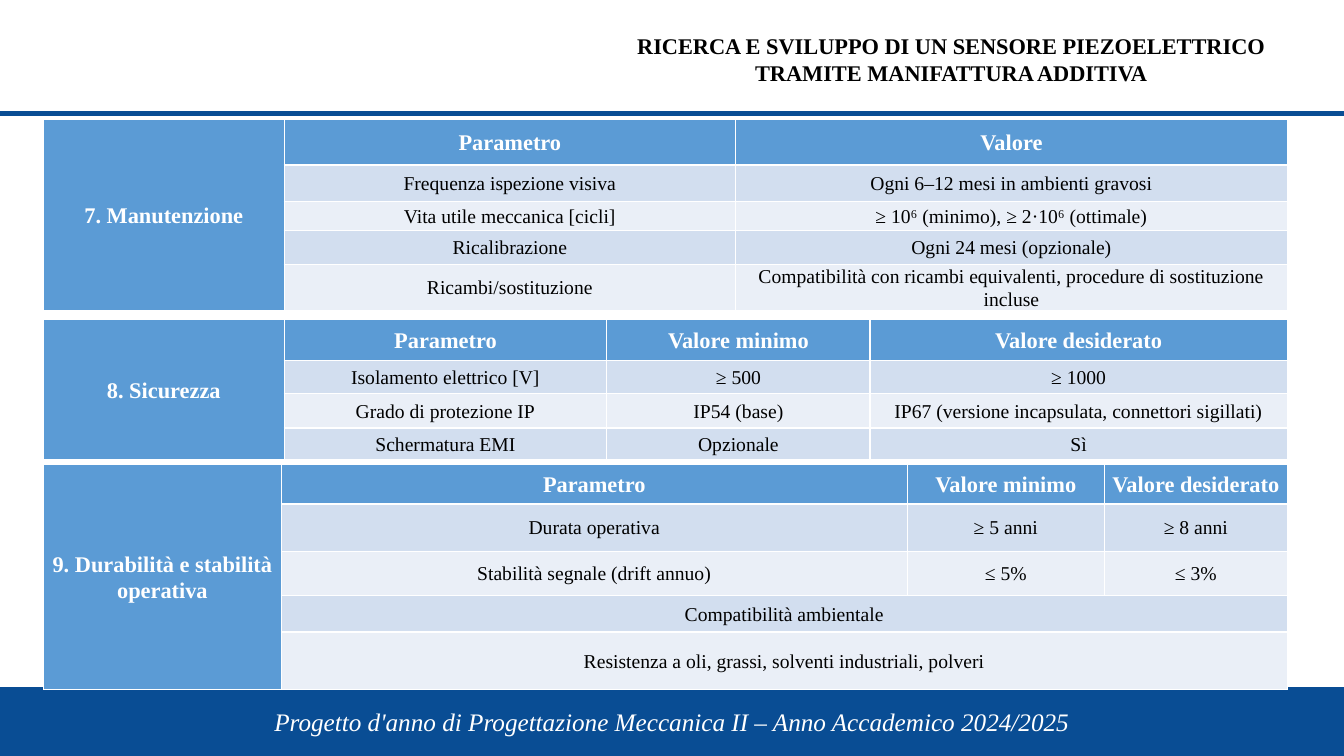
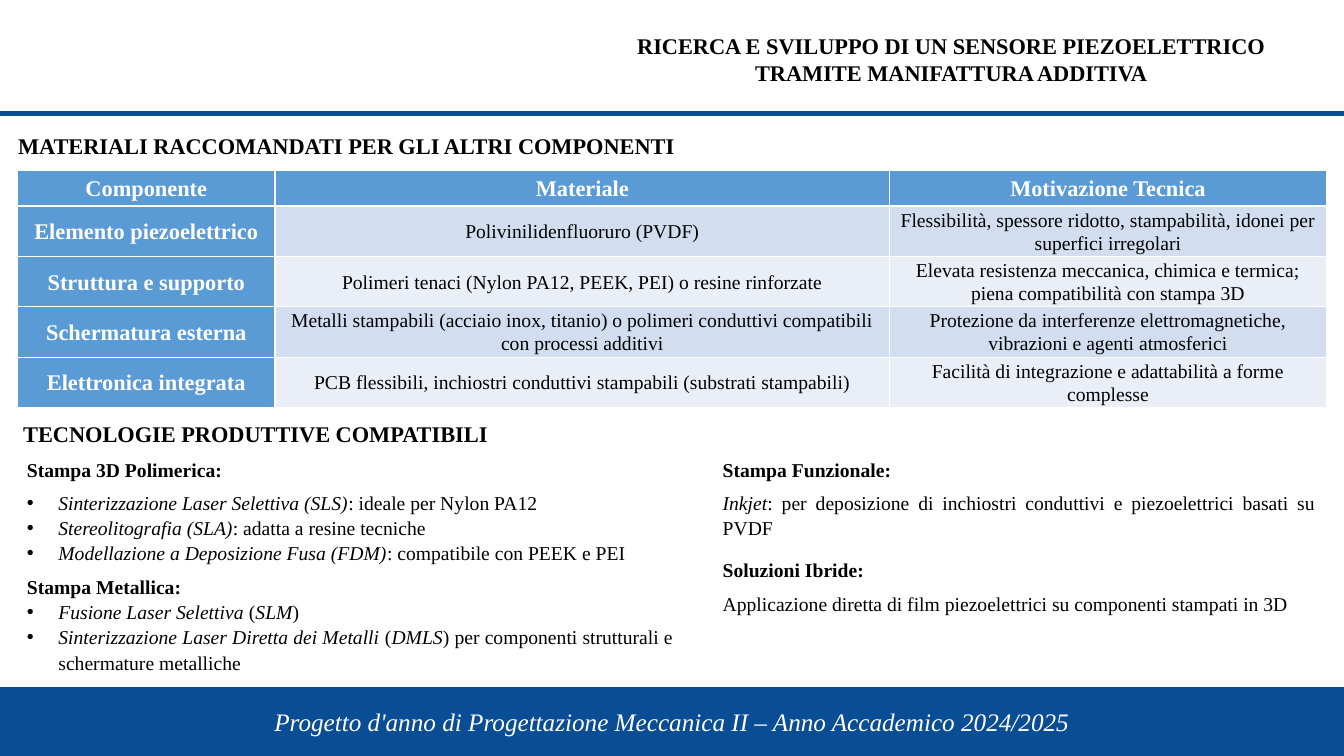
from lxml.etree import SubElement
from pptx import Presentation
from pptx.dml.color import RGBColor
from pptx.enum.shapes import MSO_CONNECTOR, MSO_SHAPE
from pptx.enum.text import MSO_ANCHOR, MSO_AUTO_SIZE, PP_ALIGN
from pptx.oxml.ns import qn
from pptx.util import Pt

FONT = "Times New Roman"
NAVY = RGBColor(0x09, 0x4D, 0x94)
HEAD_BLUE = RGBColor(0x5B, 0x9B, 0xD5)
BANDS = (RGBColor(0xD2, 0xDE, 0xEF), RGBColor(0xEA, 0xEF, 0xF7))
WHITE = RGBColor(0xFF, 0xFF, 0xFF)
BLACK = RGBColor(0, 0, 0)

WIDTH, HEIGHT = 960, 540
RULE_TOP, FOOTER_TOP = 81, 491
LINE_SPACING = 1.07
BULLET_INDENT = 22.5
TITLE_ONLY, TWO_CONTENT = 5, 3

TITLE = "RICERCA E SVILUPPO DI UN SENSORE PIEZOELETTRICO TRAMITE MANIFATTURA ADDITIVA"
FOOTER = "Progetto d'anno di Progettazione Meccanica II – Anno Accademico 2024/2025"

# None marks a cell covered by the one above it (first column) or to its left.
REQUIREMENTS = [
    {
        "top": 85.5,
        "widths": (172, 322.5, 394),
        "heights": (32.4, 26, 21, 23.8, 32.4),
        "rows": [
            ("7. Manutenzione", "Parametro", "Valore"),
            (None, "Frequenza ispezione visiva", "Ogni 6–12 mesi in ambienti gravosi"),
            (None, "Vita utile meccanica [cicli]", "≥ 10⁶ (minimo), ≥ 2·10⁶ (ottimale)"),
            (None, "Ricalibrazione", "Ogni 24 mesi (opzionale)"),
            (None, "Ricambi/sostituzione",
             "Compatibilità con ricambi equivalenti, procedure di sostituzione incluse"),
        ],
    },
    {
        "top": 228.5,
        "widths": (172, 230.5, 188, 298),
        "heights": (29, 23.8, 24.5, 22.3),
        "rows": [
            ("8. Sicurezza", "Parametro", "Valore minimo", "Valore desiderato"),
            (None, "Isolamento elettrico [V]", "≥ 500", "≥ 1000"),
            (None, "Grado di protezione IP", "IP54 (base)",
             "IP67 (versione incapsulata, connettori sigillati)"),
            (None, "Schermatura EMI", "Opzionale", "Sì"),
        ],
    },
    {
        "top": 332,
        "widths": (170, 447, 141, 130.5),
        "heights": (28, 33.8, 31.7, 26, 41),
        "rows": [
            ("9. Durabilità e stabilità operativa", "Parametro", "Valore minimo",
             "Valore desiderato"),
            (None, "Durata operativa", "≥ 5 anni", "≥ 8 anni"),
            (None, "Stabilità segnale (drift annuo)", "≤ 5%", "≤ 3%"),
            (None, "Compatibilità ambientale", None, None),
            (None, "Resistenza a oli, grassi, solventi industriali, polveri", None, None),
        ],
    },
]

MATERIALS_HEADING = "MATERIALI RACCOMANDATI PER GLI ALTRI COMPONENTI"
MATERIALS = {
    "top": 122,
    "widths": (184, 439, 312),
    "heights": (25.2, 35.5, 35.5, 35.5, 35.5),
    "rows": [
        ("Componente", "Materiale", "Motivazione Tecnica"),
        ("Elemento piezoelettrico", "Polivinilidenfluoruro (PVDF)",
         "Flessibilità, spessore ridotto, stampabilità, idonei per superfici irregolari"),
        ("Struttura e supporto", "Polimeri tenaci (Nylon PA12, PEEK, PEI) o resine rinforzate",
         "Elevata resistenza meccanica, chimica e termica; piena compatibilità con stampa 3D"),
        ("Schermatura esterna",
         "Metalli stampabili (acciaio inox, titanio) o polimeri conduttivi compatibili "
         "con processi additivi",
         "Protezione da interferenze elettromagnetiche, vibrazioni e agenti atmosferici"),
        ("Elettronica integrata",
         "PCB flessibili, inchiostri conduttivi stampabili (substrati stampabili)",
         "Facilità di integrazione e adattabilità a forme complesse"),
    ],
}

TECHNOLOGIES_HEADING = "TECNOLOGIE PRODUTTIVE COMPATIBILI"
# Paragraph: bulleted, space before, space after, runs of (text, style).
POLYMER_AND_METAL = [
    (False, 6, 6, [("Stampa 3D Polimerica:", "bold")]),
    (True, 0, 0, [("Sinterizzazione Laser Selettiva (SLS)", "italic"),
                  (": ideale per Nylon PA12", "")]),
    (True, 0, 0, [("Stereolitografia (SLA)", "italic"), (": adatta a resine tecniche", "")]),
    (True, 0, 0, [("Modellazione a Deposizione Fusa (FDM)", "italic"),
                  (": compatibile con PEEK e PEI", "")]),
    (False, 6, 0, [("Stampa Metallica:", "bold")]),
    (True, 0, 0, [("Fusione Laser Selettiva ", "italic"), ("(", ""), ("SLM", "italic"),
                  (")", "")]),
    (True, 0, 6, [("Sinterizzazione Laser Diretta dei Metalli ", "italic"), ("(", ""),
                  ("DMLS", "italic"),
                  (") per componenti strutturali e schermature metalliche", "")]),
]
FUNCTIONAL_AND_HYBRID = [
    (False, 6, 0, [("Stampa Funzionale:", "bold")]),
    (False, 6, 6, [("Inkjet", "italic"),
                   (": per deposizione di inchiostri conduttivi e piezoelettrici basati su PVDF",
                    "")]),
    (False, 6, 0, [("Soluzioni Ibride:", "bold")]),
    (False, 6, 6, [("Applicazione diretta di film piezoelettrici su componenti stampati in 3D",
                    "")]),
]


def add_span(para, text, size, color=BLACK, style=""):
    span = para.add_run()
    span.text = text
    span.font.name = FONT
    span.font.size = Pt(size)
    span.font.color.rgb = color
    span.font.bold = style == "bold"
    span.font.italic = style == "italic"


def place(shape, left, top, width, height):
    shape.left, shape.top, shape.width, shape.height = map(Pt, (left, top, width, height))


def add_page(deck, layout):
    """Add a slide with the shared title, rule and footer band."""
    page = deck.slides.add_slide(deck.slide_layouts[layout])

    title = page.shapes.title
    place(title, 422.5, 19.5, 514, 46)
    frame = title.text_frame
    frame.auto_size = MSO_AUTO_SIZE.NONE
    frame.vertical_anchor = MSO_ANCHOR.TOP
    frame.paragraphs[0].alignment = PP_ALIGN.CENTER
    add_span(frame.paragraphs[0], TITLE, 16, style="bold")

    rule = page.shapes.add_connector(
        MSO_CONNECTOR.STRAIGHT, Pt(0), Pt(RULE_TOP), Pt(WIDTH), Pt(RULE_TOP))
    rule.line.color.rgb = NAVY
    rule.line.width = Pt(4)
    SubElement(rule._element.spPr, qn("a:effectLst"))

    footer = page.shapes.add_shape(
        MSO_SHAPE.RECTANGLE, Pt(0), Pt(FOOTER_TOP), Pt(WIDTH), Pt(HEIGHT - FOOTER_TOP))
    footer.shadow.inherit = False
    footer.fill.solid()
    footer.fill.fore_color.rgb = NAVY
    footer.line.color.rgb = NAVY
    footer.line.width = Pt(1)
    footer.text_frame.vertical_anchor = MSO_ANCHOR.MIDDLE
    para = footer.text_frame.paragraphs[0]
    para.alignment = PP_ALIGN.CENTER
    add_span(para, FOOTER, 18, WHITE, "italic")
    return page


def fill_cell(cell, text, fill, is_heading):
    cell.fill.solid()
    cell.fill.fore_color.rgb = fill
    cell.vertical_anchor = MSO_ANCHOR.MIDDLE
    cell.margin_left = cell.margin_right = Pt(5)
    cell.margin_top = cell.margin_bottom = Pt(0)
    para = cell.text_frame.paragraphs[0]
    para.alignment = PP_ALIGN.CENTER
    para.line_spacing = LINE_SPACING
    if is_heading:
        add_span(para, text, 16, WHITE, "bold")
    else:
        add_span(para, text, 14)


def add_data_table(page, left, data):
    rows, widths, heights = data["rows"], data["widths"], data["heights"]
    table = page.shapes.add_table(
        len(rows), len(widths), Pt(left), Pt(data["top"]),
        Pt(sum(widths)), Pt(sum(heights))).table
    table.horz_banding = False
    for column, width in zip(table.columns, widths):
        column.width = Pt(width)
    for row, height in zip(table.rows, heights):
        row.height = Pt(height)

    last_row, last_column = len(rows) - 1, len(widths) - 1
    if rows[1][0] is None:
        table.cell(0, 0).merge(table.cell(last_row, 0))
    for r, row in enumerate(rows):
        if row[-1] is None:
            table.cell(r, 1).merge(table.cell(r, last_column))
        for c, text in enumerate(row):
            if text is not None:
                is_heading = r == 0 or c == 0
                fill = HEAD_BLUE if is_heading else BANDS[(r - 1) % 2]
                fill_cell(table.cell(r, c), text, fill, is_heading)


def add_heading(page, left, top, text, line_spacing):
    box = page.shapes.add_textbox(Pt(left), Pt(top), Pt(490), Pt(28))
    box.text_frame.word_wrap = True
    para = box.text_frame.paragraphs[0]
    para.line_spacing = line_spacing
    add_span(para, text, 16, style="bold")


def fill_list(body, paragraphs):
    frame = body.text_frame
    frame.auto_size = MSO_AUTO_SIZE.NONE
    for index, (bulleted, before, after, spans) in enumerate(paragraphs):
        para = frame.add_paragraph() if index else frame.paragraphs[0]
        para.alignment = PP_ALIGN.JUSTIFY
        para.line_spacing = LINE_SPACING
        para.space_before, para.space_after = Pt(before), Pt(after)
        indent = Pt(BULLET_INDENT) if bulleted else 0
        properties = para._p.get_or_add_pPr()
        properties.set("marL", str(indent))
        properties.set("indent", str(-indent))
        if bulleted:
            SubElement(properties, qn("a:buFont"), typeface="Arial")
            SubElement(properties, qn("a:buChar"), char="•")
        else:
            SubElement(properties, qn("a:buNone"))
        for text, style in spans:
            add_span(para, text, 14, style=style)


def add_requirements_page(deck):
    page = add_page(deck, TITLE_ONLY)
    for data in REQUIREMENTS:
        add_data_table(page, 31, data)


def add_materials_page(deck):
    page = add_page(deck, TWO_CONTENT)
    add_heading(page, 5.8, 88, MATERIALS_HEADING, 1.15)
    add_data_table(page, 12.5, MATERIALS)
    add_heading(page, 9.5, 295.5, TECHNOLOGIES_HEADING, LINE_SPACING)
    left_list, right_list = page.placeholders[1], page.placeholders[2]
    place(left_list, 12, 322, 476, 163)
    place(right_list, 509, 322, 438, 163)
    fill_list(left_list, POLYMER_AND_METAL)
    fill_list(right_list, FUNCTIONAL_AND_HYBRID)


def main():
    deck = Presentation()
    deck.slide_width, deck.slide_height = Pt(WIDTH), Pt(HEIGHT)
    add_requirements_page(deck)
    add_materials_page(deck)
    deck.save("out.pptx")


if __name__ == "__main__":
    main()
